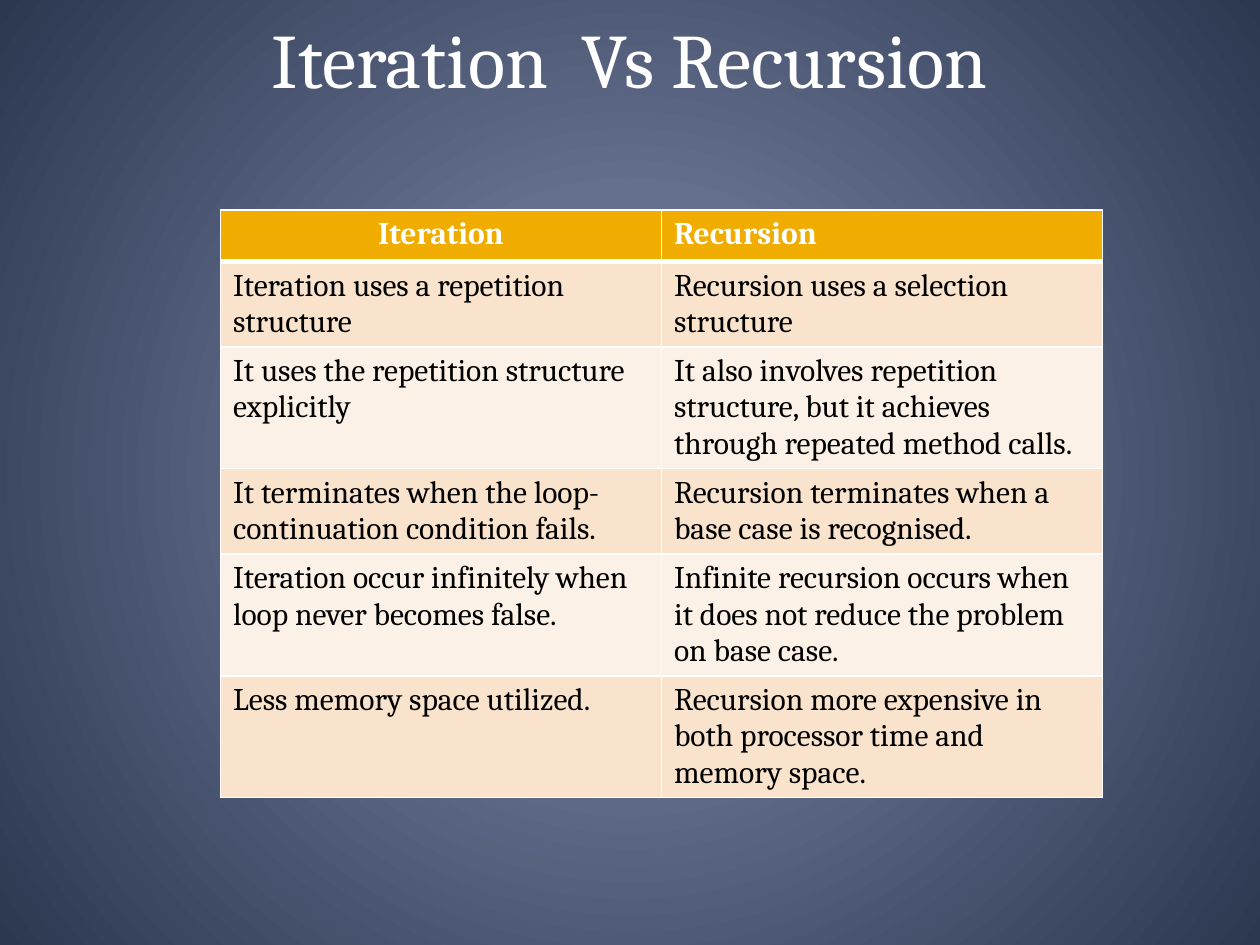
from dataclasses import dataclass

from lxml.etree import SubElement as Sub
from pptx import Presentation
from pptx.dml.color import RGBColor as Rgb
from pptx.enum.text import MSO_ANCHOR as Anchor, PP_ALIGN as Align
from pptx.oxml.ns import qn
from pptx.util import Pt


@dataclass(frozen=True)
class Theme:
    font: str = "Cambria"
    title: int = 44
    body: int = 18
    light: str = "FFFFFF"
    dark: str = "000000"
    head: str = "F0AD00"
    bands: tuple = ("F9E3CC", "FCF1E7")
    glow: tuple = ("828EAF", "2C3750")


THEME = Theme()
ROWS = [
    ("Iteration", "Recursion"),
    ("Iteration uses a repetition structure",
     "Recursion uses a selection structure"),
    ("It uses the repetition structure explicitly",
     "It also involves repetition structure, but it achieves through "
     "repeated method calls."),
    ("It terminates when the loop- continuation condition fails.",
     "Recursion terminates when a base case is recognised."),
    ("Iteration occur infinitely when loop never becomes false.",
     "Infinite recursion occurs when it does not reduce the problem "
     "on base case."),
    ("Less memory space utilized.",
     "Recursion more expensive in both processor time and memory space."),
]


def style(para, size, color, align=Align.LEFT, bold=False):
    para.alignment = align
    font = para.font
    font.name, font.size, font.bold = THEME.font, Pt(size), bold
    font.color.rgb = Rgb.from_string(color)


def paint_back(slide):
    """Radial glow from the centre of the slide."""
    fill = slide.background.fill
    fill.gradient()
    for stop, color in zip(fill.gradient_stops, THEME.glow):
        stop.color.rgb = Rgb.from_string(color)
    grad = slide.element.find(".//" + qn("a:gradFill"))
    grad.remove(grad.find(qn("a:lin")))
    ring = Sub(grad, qn("a:path"), path="circle")
    Sub(ring, qn("a:fillToRect"), dict.fromkeys("ltrb", "50000"))


def place_title(slide, text, left, top, width, height):
    title = slide.shapes.title
    title.left, title.top = Pt(left), Pt(top)
    title.width, title.height = Pt(width), Pt(height)
    frame = title.text_frame
    frame.text = text
    frame.vertical_anchor = Anchor.MIDDLE
    style(frame.paragraphs[0], THEME.title, THEME.light, Align.CENTER)


def edge_cell(cell, bottom, top):
    """White borders; they must come before the fill."""
    props = cell._tc.get_or_add_tcPr()
    for side, width in (("L", 1), ("R", 1), ("T", top), ("B", bottom)):
        line = Sub(props, qn("a:ln" + side), w=str(Pt(width)))
        solid = Sub(line, qn("a:solidFill"))
        Sub(solid, qn("a:srgbClr"), val=THEME.light)


def place_table(slide, rows, left, top, width, height):
    """Rows start equal and grow with their text."""
    table = slide.shapes.add_table(
        len(rows), len(rows[0]), Pt(left), Pt(top), Pt(width), Pt(height)
    ).table
    for r, row in enumerate(rows):
        head = r == 0
        back = THEME.head if head else THEME.bands[(r - 1) % 2]
        for c, text in enumerate(row):
            cell = table.cell(r, c)
            cell.text = text
            edge_cell(cell, bottom=3 if head else 1, top=3 if r == 1 else 1)
            cell.fill.solid()
            cell.fill.fore_color.rgb = Rgb.from_string(back)
            align = Align.CENTER if head and c == 0 else Align.LEFT
            style(cell.text_frame.paragraphs[0], THEME.body,
                  THEME.light if head else THEME.dark, align, head)


def main():
    deck = Presentation()
    deck.slide_width, deck.slide_height = Pt(720), Pt(540)
    slide = deck.slides.add_slide(deck.slide_layouts[5])
    paint_back(slide)
    place_title(slide, "Iteration  Vs Recursion", 36, 0, 648, 66)
    place_table(slide, ROWS, 126, 120, 504, 177)
    deck.save("out.pptx")


if __name__ == "__main__":
    main()
